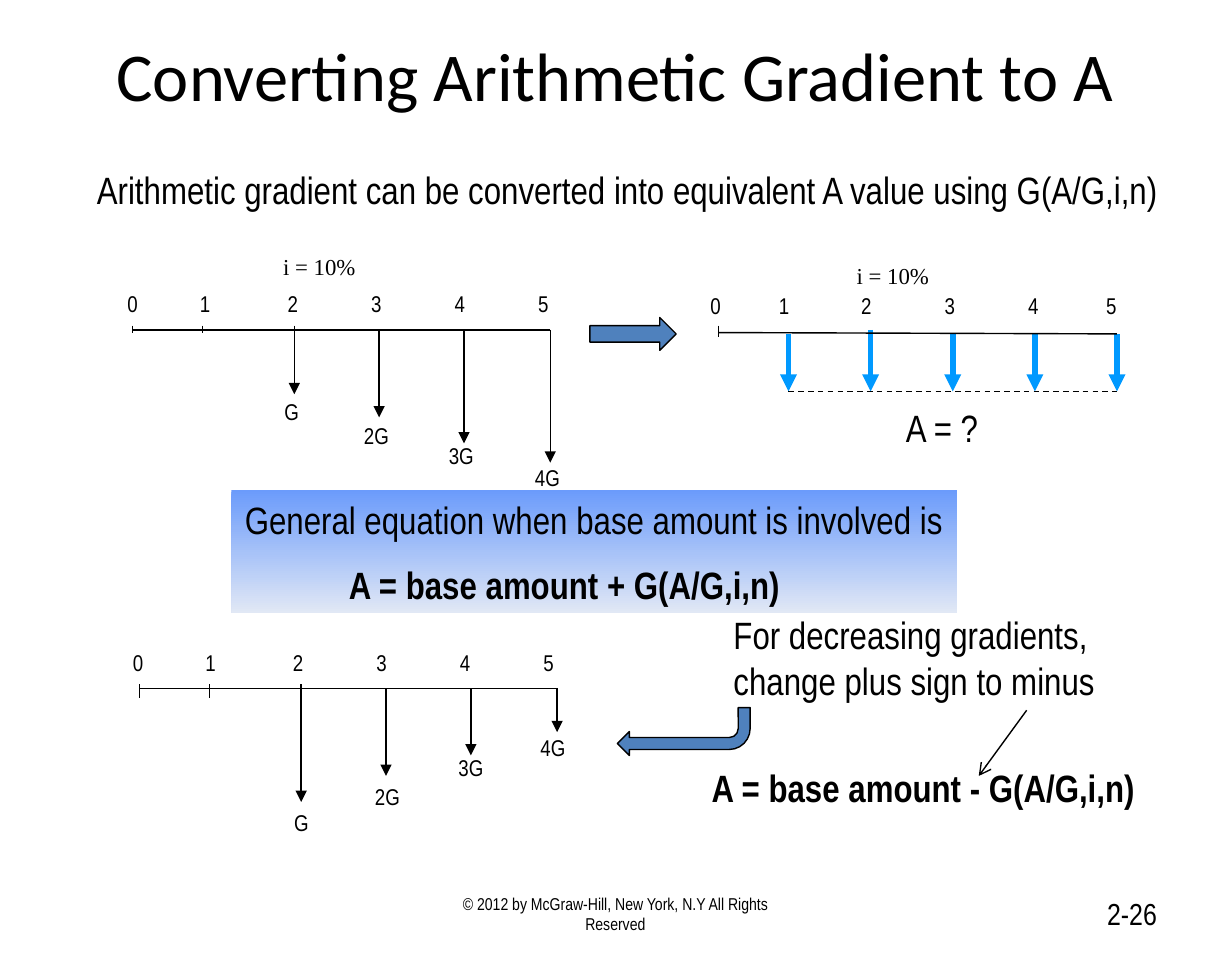
from lxml import etree
from pptx import Presentation
from pptx.dml.color import RGBColor
from pptx.enum.dml import MSO_LINE
from pptx.enum.shapes import MSO_CONNECTOR, MSO_SHAPE
from pptx.enum.text import MSO_ANCHOR, PP_ALIGN
from pptx.oxml.ns import qn
from pptx.util import Inches, Pt

BLACK = RGBColor(0x00, 0x00, 0x00)
BLUE = RGBColor(0x4F, 0x81, 0xBD)
SKY = RGBColor(0x00, 0x99, 0xFF)
BAND_TOP = RGBColor(0x6B, 0x9B, 0xFB)
BAND_BOTTOM = RGBColor(0xE1, 0xE8, 0xF5)
NARROW = "Arial Narrow"


def write(frame, lines, size, font=NARROW, bold=False, align=PP_ALIGN.LEFT, wrap=False):
    """Fill a text frame, one paragraph per line, and return the paragraphs."""
    frame.word_wrap = wrap
    frame.margin_left = frame.margin_right = Inches(0.1)
    for index, line in enumerate(lines):
        paragraph = frame.paragraphs[0] if index == 0 else frame.add_paragraph()
        paragraph.alignment = align
        run = paragraph.add_run()
        run.text = line
        run.font.name = font
        run.font.size = Pt(size)
        run.font.bold = bold
        run.font.color.rgb = BLACK
    return frame.paragraphs


def add_line(x1, y1, x2, y2, color=BLACK, width=0.75, head=None):
    connector = slide.shapes.add_connector(
        MSO_CONNECTOR.STRAIGHT, Inches(x1), Inches(y1), Inches(x2), Inches(y2))
    connector.line.color.rgb = color
    connector.line.width = Pt(width)
    if head:
        etree.SubElement(connector.line._get_or_add_ln(), qn("a:tailEnd"), type=head)
    etree.SubElement(connector._element.spPr, qn("a:effectLst"))
    return connector


prs = Presentation()
prs.slide_width, prs.slide_height = Inches(9), Inches(7)
slide = prs.slides.add_slide(prs.slide_layouts[5])

title = slide.shapes.title
title.left, title.top = Inches(0.67), Inches(0.17)
title.width, title.height = Inches(7.65), Inches(0.75)
title.text_frame.vertical_anchor = MSO_ANCHOR.MIDDLE
write(title.text_frame, ["Converting Arithmetic Gradient to A"], 36, "Calibri",
      align=PP_ALIGN.CENTER, wrap=True)

# Footer and page number
for left, width, text, size, align in [
    (3.07, 2.85, "© 2012 by McGraw-Hill, New York, N.Y All Rights Reserved", 9, PP_ALIGN.CENTER),
    (6.45, 2.1, "2-26", 16, PP_ALIGN.RIGHT),
]:
    footer = slide.shapes.add_textbox(Inches(left), Inches(6.49), Inches(width), Inches(0.37))
    footer.text_frame.vertical_anchor = MSO_ANCHOR.MIDDLE
    write(footer.text_frame, [text], size, align=align, wrap=True)

# Statements, rates and gradient amounts
for left, top, width, height, lines, size, font, bold in [
    (0.61, 1.17, 8.04, 0.44,
     ["Arithmetic gradient can be converted into equivalent A value using G(A/G,i,n)"],
     20, NARROW, False),
    (1.97, 1.8, 0.77, 0.3, ["i = 10%"], 12, "Times New Roman", False),
    (6.16, 1.86, 0.77, 0.3, ["i = 10%"], 12, "Times New Roman", False),
    (6.52, 2.91, 0.74, 0.44, ["A = ?"], 20, NARROW, False),
    (5.26, 4.42, 2.85, 0.77, ["For decreasing gradients,", "change plus sign to minus"],
     20, NARROW, False),
    (5.1, 5.54, 3.3, 0.44, ["A = base amount - G(A/G,i,n)"], 20, NARROW, True),
    (1.98, 2.86, 0.3, 0.3, ["G"], 12, NARROW, False),
    (2.56, 3.03, 0.38, 0.3, ["2G"], 12, NARROW, False),
    (3.18, 3.18, 0.38, 0.3, ["3G"], 12, NARROW, False),
    (3.81, 3.34, 0.38, 0.3, ["4G"], 12, NARROW, False),
    (2.05, 5.86, 0.3, 0.3, ["G"], 12, NARROW, False),
    (2.64, 5.67, 0.38, 0.3, ["2G"], 12, NARROW, False),
    (3.25, 5.46, 0.38, 0.3, ["3G"], 12, NARROW, False),
    (3.85, 5.31, 0.38, 0.3, ["4G"], 12, NARROW, False),
]:
    statement = slide.shapes.add_textbox(Inches(left), Inches(top), Inches(width), Inches(height))
    write(statement.text_frame, lines, size, font, bold)

# Period numbers, each centred on its own tab stop
for left, top, centers in [
    (0.57, 2.07, [0.3, 0.83, 1.47, 2.08, 2.69, 3.3]),
    (4.88, 2.08, [0.25, 0.75, 1.35, 1.96, 2.57, 3.14]),
    (0.61, 4.69, [0.3, 0.83, 1.47, 2.08, 2.69, 3.3]),
]:
    periods = slide.shapes.add_textbox(Inches(left), Inches(top), Inches(3.74), Inches(0.3))
    numbers = "".join(f"\t{period}" for period in range(6))
    paragraph = write(periods.text_frame, [numbers], 12, wrap=True)[0]
    tab_stops = etree.SubElement(paragraph._p.get_or_add_pPr(), qn("a:tabLst"))
    for center in centers:
        etree.SubElement(tab_stops, qn("a:tab"), pos=str(Inches(center)), algn="ctr")

# Gradient cash flows: increasing above, decreasing below
for start, axis, tick_length, arrow_tips in [
    (0.97, 2.41, 0.05, [2.88, 3.05, 3.24, 3.38]),
    (1.02, 5.03, 0.1, [5.86, 5.67, 5.52, 5.35]),
]:
    add_line(start, axis, start + 3.05, axis)
    for tick in (start, start + 0.51):
        add_line(tick, axis - 0.03, tick, axis - 0.03 + tick_length)
    for offset, tip in zip([1.18, 1.8, 2.42, 3.05], arrow_tips):
        top = axis - 0.03 if offset == 1.18 else axis
        add_line(start + offset, top, start + offset, tip, head="triangle")

# Uniform series A
for period in range(5):
    x = 5.76 + 0.6 * period
    add_line(x, 2.41 if period == 1 else 2.44, x, 2.86, SKY, 3, "triangle")
add_line(5.25, 2.43, 8.16, 2.44)
add_line(5.25, 2.38, 5.25, 2.46)
add_line(5.76, 2.86, 8.16, 2.86).line.dash_style = MSO_LINE.DASH

# General equation
equation = slide.shapes.add_shape(
    MSO_SHAPE.RECTANGLE, Inches(1.69), Inches(3.58), Inches(5.3), Inches(0.9))
equation.shadow.inherit = False
equation.line.fill.background()
equation.fill.gradient()
equation.fill.gradient_angle = 270
for stop, color in zip(equation.fill.gradient_stops, (BAND_TOP, BAND_BOTTOM)):
    stop.color.rgb = color
equation.text_frame.vertical_anchor = MSO_ANCHOR.TOP
formula = write(equation.text_frame, ["General equation when base amount is involved is",
                                      "A = base amount + G(A/G,i,n)"], 20)[1]
formula.space_before = Pt(10)
formula.runs[0].font.bold = True
formula._p.get_or_add_pPr().set("marL", str(Inches(0.76)))

# Arrows between the parts
for preset, left, top, width, height, rotation in [
    (MSO_SHAPE.RIGHT_ARROW, 4.31, 2.32, 0.63, 0.24, 0),
    (MSO_SHAPE.BENT_ARROW, 4.51, 5.17, 0.97, 0.35, 180),
]:
    arrow = slide.shapes.add_shape(
        preset, Inches(left), Inches(top), Inches(width), Inches(height))
    arrow.rotation = rotation
    arrow.shadow.inherit = False
    arrow.fill.solid()
    arrow.fill.fore_color.rgb = BLUE
    arrow.line.color.rgb = BLACK
    arrow.line.width = Pt(0.75)
add_line(7.5, 5.19, 7.15, 5.67, head="arrow")

prs.save("out.pptx")
